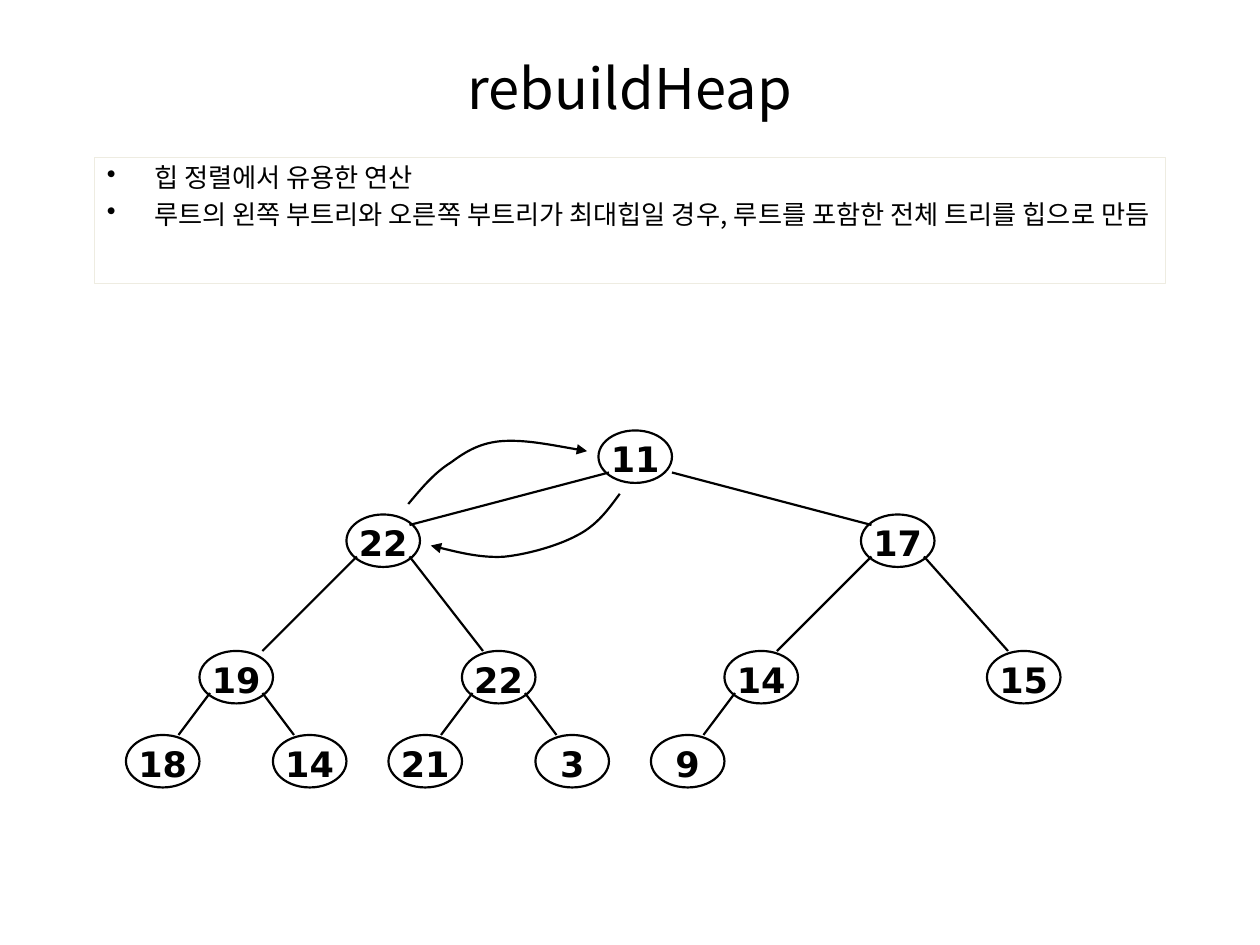
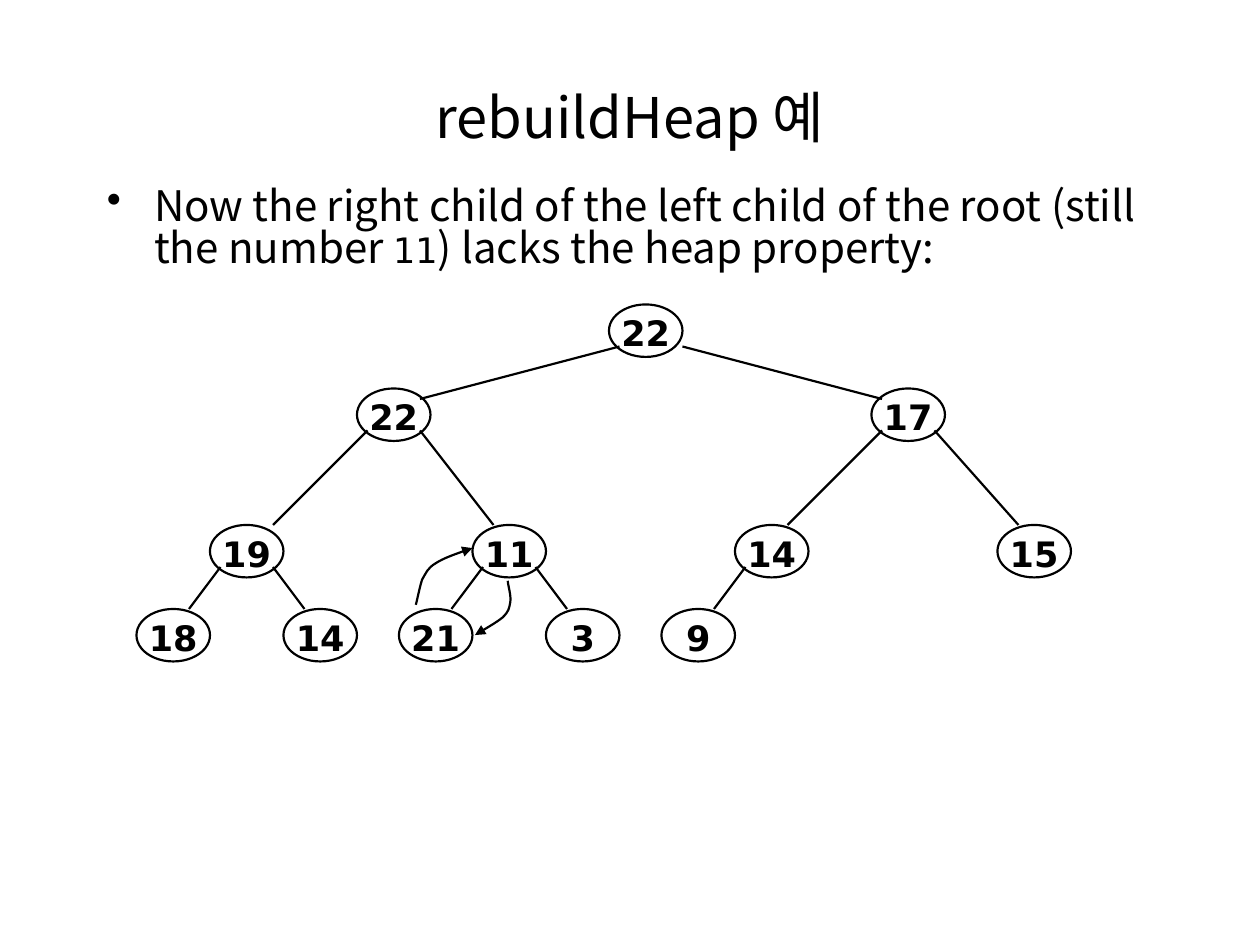
from lxml import etree
from pptx import Presentation
from pptx.dml.color import RGBColor
from pptx.enum.shapes import MSO_CONNECTOR, MSO_SHAPE
from pptx.enum.text import MSO_ANCHOR, PP_ALIGN
from pptx.oxml.ns import qn
from pptx.util import Pt

ELLIPSE = MSO_SHAPE.OVAL
STRAIGHT = MSO_CONNECTOR.STRAIGHT
MIDDLE = MSO_ANCHOR.MIDDLE
CENTER = PP_ALIGN.CENTER

BLACK = "000000"
FRAME = "EEECE1"
TEXT_FONT = "Noto Sans CJK KR"
NUMBER_FONT = "DejaVu Sans"

NODE_WIDTH, NODE_HEIGHT = 42, 30
NODE_SPOTS = [
    (270, 0),
    (126, 48), (420, 48),
    (42, 126), (192, 126), (342, 126), (492, 126),
    (0, 174), (84, 174), (150, 174), (234, 174), (300, 174),
]
EDGE_START_Y = 24
LEFT_EDGE = (6, 30, 0)
RIGHT_EDGE = (36, 12, 0)
SPECIAL_EDGES = {1: (6, 36, 6), 2: (42, 6, 6), 3: (6, 36, 0)}

SWAP_AT_ROOT = [
    [(233.3, 288), (241.2, 278.6), (248.4, 270), (257.8, 264.2), (266.4, 257.8),
     (275, 252.7), (288, 252), (301, 251.3), (318.2, 254.9), (335.5, 257.8)],
    [(354.2, 282.2), (347.8, 290.9), (341.3, 300.2), (329.8, 306), (319, 311.8),
     (301.7, 316.8), (288, 318.2), (274.3, 319), (252, 313.2), (246.2, 311.8)],
]
SWAP_BELOW = [
    [(237.6, 345.6), (238.3, 343.4), (239.8, 335.5), (241.2, 331.2), (243.4, 327.6),
     (244.1, 324.7), (249.1, 321.8), (253.4, 319), (265.7, 314.6), (270, 313.2)],
    [(290.2, 331.9), (290.2, 334.1), (292.3, 340.6), (291.6, 344.2), (290.9, 347.8),
     (290.9, 349.2), (287.3, 352.8), (283.7, 355.7), (275, 360.7), (271.4, 362.9)],
]


def color(value):
    return RGBColor.from_string(value)


def set_line(shape, value=BLACK, width=1.25):
    shape.line.color.rgb = color(value)
    shape.line.width = Pt(width)


def set_font(font, name, size, bold=False):
    font.name = name
    font.size = Pt(size)
    font.bold = bold
    font.color.rgb = color(BLACK)


def set_paragraph_font(para, name, size, bold=False):
    set_font(para.font, name, size, bold)
    defaults = para._p.pPr.find(qn("a:defRPr"))
    etree.SubElement(defaults, qn("a:ea"), typeface=name)


def add_title(page, text, height):
    box = page.shapes.add_textbox(Pt(36), Pt(21.6), Pt(648), Pt(height))
    frame = box.text_frame
    frame.word_wrap = True
    frame.vertical_anchor = MIDDLE
    para = frame.paragraphs[0]
    para.text = text
    para.alignment = CENTER
    set_paragraph_font(para, TEXT_FONT, 32)


def add_bullets(page, top, height, size, bullets):
    box = page.shapes.add_textbox(Pt(54), Pt(top), Pt(612), Pt(height))
    frame = box.text_frame
    frame.word_wrap = True
    frame.margin_top = Pt(5)
    for index, spans in enumerate(bullets):
        para = frame.add_paragraph() if index else frame.paragraphs[0]
        para.line_spacing = 0.84
        para.space_before = Pt(6 if index else 0)
        properties = para._p.get_or_add_pPr()
        properties.set("marL", str(Pt(27)))
        properties.set("indent", str(Pt(-27)))
        etree.SubElement(properties, qn("a:buChar"), char="•")
        set_paragraph_font(para, TEXT_FONT, size)
        for text in spans:
            span = para.add_run()
            span.text = text
            if text.isdigit():
                set_font(span.font, NUMBER_FONT, 20)
    return box


def add_node(page, left, top, number):
    node = page.shapes.add_shape(
        ELLIPSE, Pt(left), Pt(top), Pt(NODE_WIDTH), Pt(NODE_HEIGHT))
    node.shadow.inherit = False
    node.fill.background()
    set_line(node)
    frame = node.text_frame
    frame.word_wrap = False
    frame.vertical_anchor = MIDDLE
    para = frame.paragraphs[0]
    para.text = str(number)
    para.alignment = CENTER
    para.line_spacing = 1.1
    set_paragraph_font(para, NUMBER_FONT, 20, bold=True)


def add_edge(page, start, end):
    edge = page.shapes.add_connector(STRAIGHT, *map(Pt, start + end))
    set_line(edge)
    etree.SubElement(edge._element.spPr, qn("a:effectLst"))


def add_heap(page, left, top, numbers):
    spots = [(left + x, top + y) for x, y in NODE_SPOTS]
    for (x, y), number in zip(spots, numbers):
        add_node(page, x, y, number)
    for child in range(1, len(spots)):
        side = LEFT_EDGE if child % 2 else RIGHT_EDGE
        start_x, end_x, end_y = SPECIAL_EDGES.get(child, side)
        parent_x, parent_y = spots[(child - 1) // 2]
        child_x, child_y = spots[child]
        add_edge(page, (parent_x + start_x, parent_y + EDGE_START_Y),
                 (child_x + end_x, child_y + end_y))


def add_curved_arrow(page, points):
    start, *rest = [(Pt(x), Pt(y)) for x, y in points]
    builder = page.shapes.build_freeform(*start)
    builder.add_line_segments(rest, close=False)
    arrow = builder.convert_to_shape()
    segments = list(arrow._element.iter(qn("a:lnTo")))
    outline = segments[0].getparent()
    for first in range(0, len(segments), 3):
        curve = etree.SubElement(outline, qn("a:cubicBezTo"))
        for segment in segments[first:first + 3]:
            curve.append(segment[0])
            outline.remove(segment)
    arrow.shadow.inherit = False
    arrow.fill.background()
    set_line(arrow)
    etree.SubElement(arrow.line._get_or_add_ln(), qn("a:tailEnd"), type="triangle")


def add_swap(page, curves):
    for points in curves:
        add_curved_arrow(page, points)


def main():
    deck = Presentation()
    deck.slide_width, deck.slide_height = Pt(720), Pt(540)
    blank = deck.slide_layouts[6]

    page = deck.slides.add_slide(blank)
    add_title(page, "rebuildHeap", 56)
    box = add_bullets(page, 90, 72, 15, [
        ["힙 정렬에서 유용한 연산"],
        ["루트의 왼쪽 부트리와 오른쪽 부트리가 최대힙일 경우, "
         "루트를 포함한 전체 트리를 힙으로 만듬"],
    ])
    set_line(box, FRAME, 0.75)
    add_heap(page, 72, 246, [11, 22, 17, 19, 22, 14, 15, 18, 14, 21, 3, 9])
    add_swap(page, SWAP_AT_ROOT)

    page = deck.slides.add_slide(blank)
    add_title(page, "rebuildHeap 예", 90)
    add_bullets(page, 102, 78, 24, [
        ["Now the right child of the left child of the root (still the number ",
         "11", ") lacks the heap property:"],
    ])
    add_heap(page, 78, 174, [22, 22, 17, 19, 11, 14, 15, 18, 14, 21, 3, 9])
    add_swap(page, SWAP_BELOW)

    deck.save("out.pptx")


if __name__ == "__main__":
    main()
